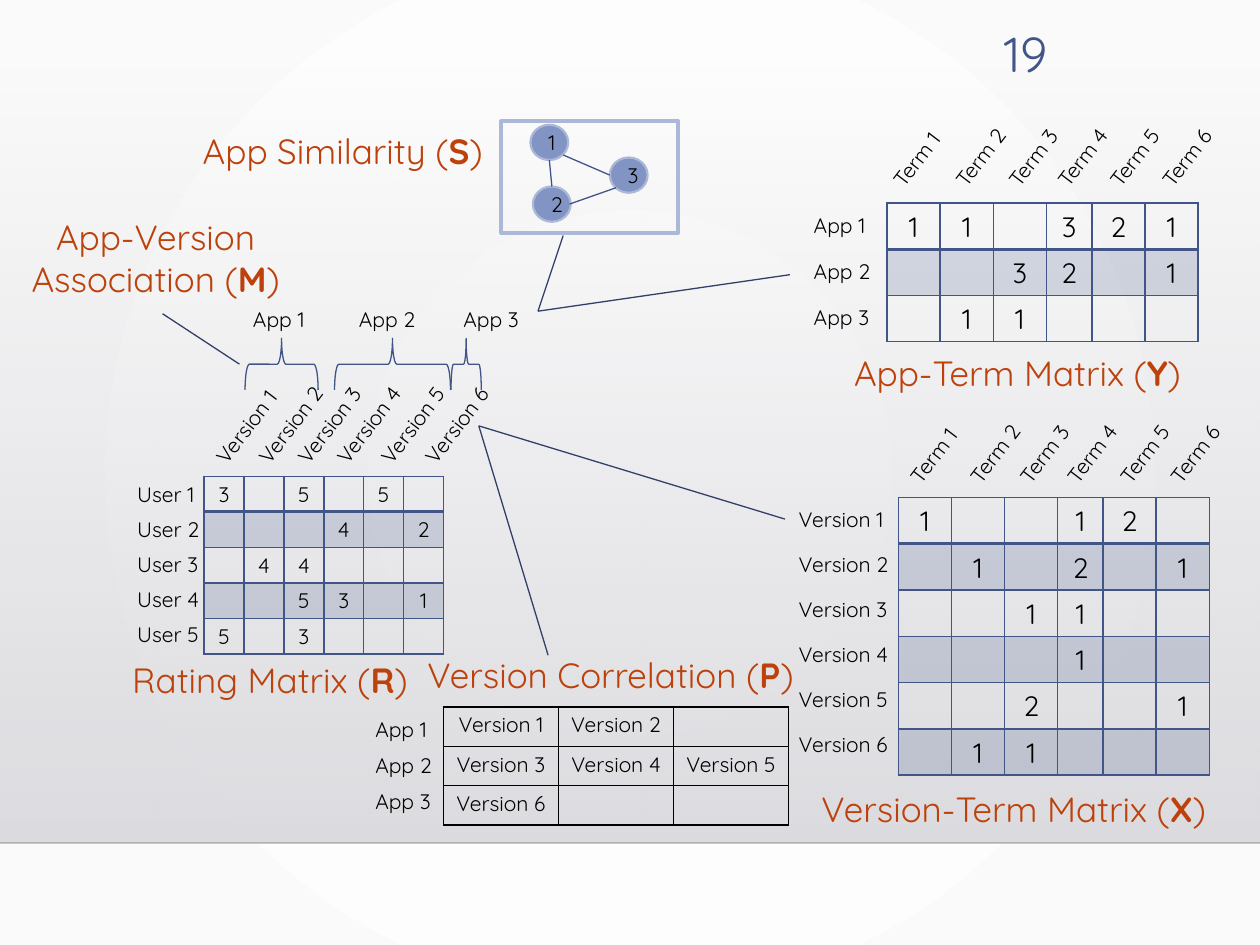
from dataclasses import dataclass

from lxml.etree import SubElement
from pptx import Presentation
from pptx.dml.color import RGBColor as Color
from pptx.enum.shapes import MSO_CONNECTOR as Connector, MSO_SHAPE as Shape
from pptx.enum.text import MSO_ANCHOR as Anchor, MSO_AUTO_SIZE as AutoSize, PP_ALIGN as Align
from pptx.oxml.ns import qn
from pptx.util import Inches, Pt

CELL = Inches(0.1)
COLUMNS, ROWS = 100, 75
TILT = 307.3
TERM_COLUMNS = (4.22, 4.22, 4.22, 3.6, 4.22, 4.22)
TERMS = [f"Term {n}" for n in range(1, 7)]
VERSIONS = [f"Version {n}" for n in range(1, 7)]
APPS = [f"App {n}" for n in range(1, 4)]
USERS = [f"User {n}" for n in range(1, 6)]


@dataclass(frozen=True)
class Theme:
    font: str = "Quicksand"
    ink: str = "000000"
    blue: str = "415588"
    navy: str = "314066"
    accent: str = "BC410A"
    node: str = "8294C3"
    edge: str = "ABB8D7"
    glow: tuple = ("FFFFFF", "FAFAFA")
    panel: tuple = ("DCDCE0", "DEDEE2")
    rule: str = "000001"
    label: int = 12
    value: int = 16
    title: int = 20
    number: int = 28


THEME = Theme()


@dataclass(frozen=True)
class Box:
    left: float
    top: float
    width: float
    height: float

    def within(self, left, top, width, height):
        return Box(self.left + left, self.top + top, width, height)

    def emu(self):
        return [round(n * CELL) for n in (self.left, self.top, self.width, self.height)]


def rgb(value):
    return Color.from_string(value)


def set_alpha(parent, percent):
    for color in parent.iter(qn("a:srgbClr")):
        SubElement(color, qn("a:alpha"), val=str(percent * 1000))


def fill_gradient(fill, colors):
    fill.gradient()
    for place, (stop, color) in enumerate(zip(fill.gradient_stops, colors)):
        stop.color.rgb = rgb(color)
        stop.position = place


def write(frame, text, size=THEME.label, color=THEME.ink, align=Align.LEFT):
    para = frame.paragraphs[0]
    para.alignment = align
    if not text:
        SubElement(para._p, qn("a:endParaRPr"), sz=str(size * 100))
        return
    for index, piece in enumerate(text.split("*")):
        span = para.add_run()
        span.text = piece
        span.font.name = THEME.font
        span.font.size = Pt(size)
        span.font.bold = index % 2 == 1
        span.font.color.rgb = rgb(color)


def add_text(page, box, text, rotation=0, **style):
    label = page.shapes.add_textbox(*box.emu())
    label.rotation = rotation
    label.text_frame.word_wrap = True
    label.text_frame.auto_size = AutoSize.SHAPE_TO_FIT_TEXT
    write(label.text_frame, text, **style)


def add_title(page, box, text, align=Align.CENTER):
    add_text(page, box, text, size=THEME.title, color=THEME.accent, align=align)


def add_line(page, start, end, color, width=0.75):
    points = [round(n * CELL) for n in (*start, *end)]
    line = page.shapes.add_connector(Connector.STRAIGHT, *points)
    line.line.color.rgb = rgb(color)
    line.line.width = Pt(width)
    SubElement(line._element.spPr, qn("a:effectLst"))
    return line


def add_outline(page, kind, box, fill=None, line=None, width=0.75):
    shape = page.shapes.add_shape(kind, *box.emu())
    shape.shadow.inherit = False
    if fill:
        shape.fill.solid()
        shape.fill.fore_color.rgb = rgb(fill)
    else:
        shape.fill.background()
    if line:
        shape.line.color.rgb = rgb(line)
        shape.line.width = Pt(width)
    else:
        shape.line.fill.background()
    return shape


def set_borders(cell, color, bottom):
    props = cell._tc.get_or_add_tcPr()
    for side in "LRTB":
        width = bottom if side == "B" else 1
        edge = SubElement(props, qn(f"a:ln{side}"), w=str(Pt(width)))
        SubElement(SubElement(edge, qn("a:solidFill")), qn("a:srgbClr"), val=color)


def add_grid(page, box, rows, widths, size, color, banded):
    table = page.shapes.add_table(len(rows), len(widths), *box.emu()).table
    table.first_row = table.horz_banding = False
    across, down = (0.1, 0.05) if size == THEME.value else (0.07, 0.04)
    for column, width in zip(table.columns, widths):
        column.width = round(width * CELL)
    for index, values in enumerate(rows):
        table.rows[index].height = round(box.height / len(rows) * CELL)
        for cell, value in zip(table.rows[index].cells, values):
            cell.margin_left = cell.margin_right = Inches(across)
            cell.margin_top = cell.margin_bottom = Inches(down)
            write(cell.text_frame, value.strip("-"), size=size, align=Align.CENTER)
            set_borders(cell, color, 2 if banded and index == 0 else 1)
            if banded and index % 2:
                cell.fill.solid()
                cell.fill.fore_color.rgb = rgb(THEME.blue)
                set_alpha(cell._tc.tcPr.find(qn("a:solidFill")), 20)
            else:
                cell.fill.background()


def matrix(page, box, rows, widths, names, first, step, title, title_at, heads=(), centers=(),
           head_y=0, head_width=8.1, size=THEME.label, color=THEME.blue, banded=True,
           align=Align.CENTER):
    add_grid(page, box, rows, widths, size, color, banded)
    left, top = first
    for index, name in enumerate(names):
        add_text(page, box.within(left, top + index * step, 9.8, 3), name)
    for head, center in zip(heads, centers):
        place = box.within(center - head_width / 2, head_y - 1.5, head_width, 3)
        add_text(page, place, head, rotation=TILT)
    add_title(page, box.within(*title_at, 4.4), title, align=align)


def backdrop(page, box):
    fill_gradient(page.background.fill, THEME.glow)
    gradient = next(page._element.iter(qn("a:gradFill")))
    gradient.remove(gradient.find(qn("a:lin")))
    shade = SubElement(gradient, qn("a:path"))
    shade.set("path", "circle")
    SubElement(shade, qn("a:fillToRect"), l="50000", t="50000", r="50000", b="50000")
    panel = add_outline(page, Shape.RECTANGLE, box)
    fill_gradient(panel.fill, THEME.panel)
    panel.fill.gradient_angle = 270
    set_alpha(next(panel._element.iter(qn("a:gs"))), 0)
    bottom = box.top + box.height
    rule = add_line(page, (box.left, bottom), (box.left + box.width, bottom), THEME.rule, 1)
    set_alpha(rule._element.spPr, 20)


def app_groups(page, box):
    depth = 4.1
    for name, left, center, span in zip(APPS, (0, 8.4, 16.7), (3.25, 12.05, 17.9), (5.8, 9.2, 2.4)):
        place = box.within(center - depth / 2, 5.1 - span / 2, depth, span)
        add_outline(page, Shape.RIGHT_BRACE, place, line=THEME.blue).rotation = 270
        add_text(page, box.within(left, 0, 8.4, 3), name)


def similarity_graph(page, box):
    for name, left, top in (("1", 2.3, 0.3), ("3", 8.6, 2.9), ("2", 2.5, 5.2)):
        node = add_outline(page, Shape.OVAL, box.within(left, top, 3, 2.8), THEME.node, THEME.edge, 1.25)
        node.text_frame.vertical_anchor = Anchor.MIDDLE
        write(node.text_frame, name, align=Align.CENTER)
    for x1, y1, x2, y2 in ((4.9, 2.7, 8.6, 4.3), (3.8, 3.1, 4, 5.2), (5.4, 6.6, 9.1, 5.3)):
        add_line(page, (box.left + x1, box.top + y1), (box.left + x2, box.top + y2), THEME.blue)
    add_outline(page, Shape.RECTANGLE, box, line=THEME.edge, width=2.25)
    add_title(page, box.within(-25.8, 0.2, 26.4, 4.4), "App Similarity (*S*)")


def callouts(page):
    app, version = (42.7, 24.7), (38, 33.8)
    for start, end in ((app, (62.7, 21.8)), (version, (62.3, 41.2)), (app, (44.7, 18.7)),
                       ((12.9, 24.9), (19, 28.9)), (version, (43.5, 52))):
        add_line(page, start, end, THEME.navy)


def main():
    deck = Presentation()
    deck.slide_width, deck.slide_height = COLUMNS * CELL, ROWS * CELL
    page = deck.slides.add_slide(deck.slide_layouts[6])
    backdrop(page, Box(0, 5.1, COLUMNS, 61.8))
    add_text(page, Box(75.4, 1.4, 8.7, 5.5), "19", size=THEME.number, color=THEME.blue, align=Align.RIGHT)
    matrix(page, Box(16.2, 37.8, 19, 14.1), ("3-5-5-", "---4-2", "-44---", "--53-1", "5-3---"),
           [19 / 6] * 6, USERS, (-6.3, -0.1), 2.78, "Rating Matrix (*R*)", (-6.7, 14, 25.1),
           VERSIONS, (4.05, 7.45, 10.55, 13.65, 17.15, 20.65), -4.85, 11.1, align=Align.LEFT)
    app_groups(page, Box(19.1, 23.8, 25.1, 7.2))
    callouts(page)
    matrix(page, Box(71.3, 39.5, 24.7, 22),
           ("1--12-", "-1-2-1", "--11--", "---1--", "--2--1", "-11---"),
           TERM_COLUMNS, VERSIONS, (-8.9, 0.2), 3.58, "Version-Term Matrix (*X*)", (-7.9, 22.5, 34.1),
           TERMS, (3.15, 7.9, 11.85, 15.6, 19.8, 23.8), -3.85, size=THEME.value)
    add_title(page, Box(0.7, 16.6, 23.3, 7.7), "App-Version Association (*M*)")
    matrix(page, Box(70.4, 16.1, 24.7, 11), ("11-321", "--32-1", "-11---"),
           TERM_COLUMNS, APPS, (-6.8, 0.3), 3.65, "App-Term Matrix (*Y*)", (-4.1, 11.3, 28.9),
           TERMS, (2.7, 7.65, 11.85, 15.75, 19.9, 24.05), -3.95, size=THEME.value)
    similarity_graph(page, Box(39.8, 9.6, 14, 8.9))
    matrix(page, Box(35.2, 56.1, 27.4, 9.4),
           ((*VERSIONS[:2], ""), VERSIONS[2:5], (VERSIONS[5], "", "")),
           [27.4 / 3] * 3, APPS, (-6.4, 0.3), 2.85, "Version Correlation (*P*)", (-2.5, -4.7, 31.5),
           color=THEME.ink, banded=False)
    deck.save("out.pptx")


if __name__ == "__main__":
    main()
